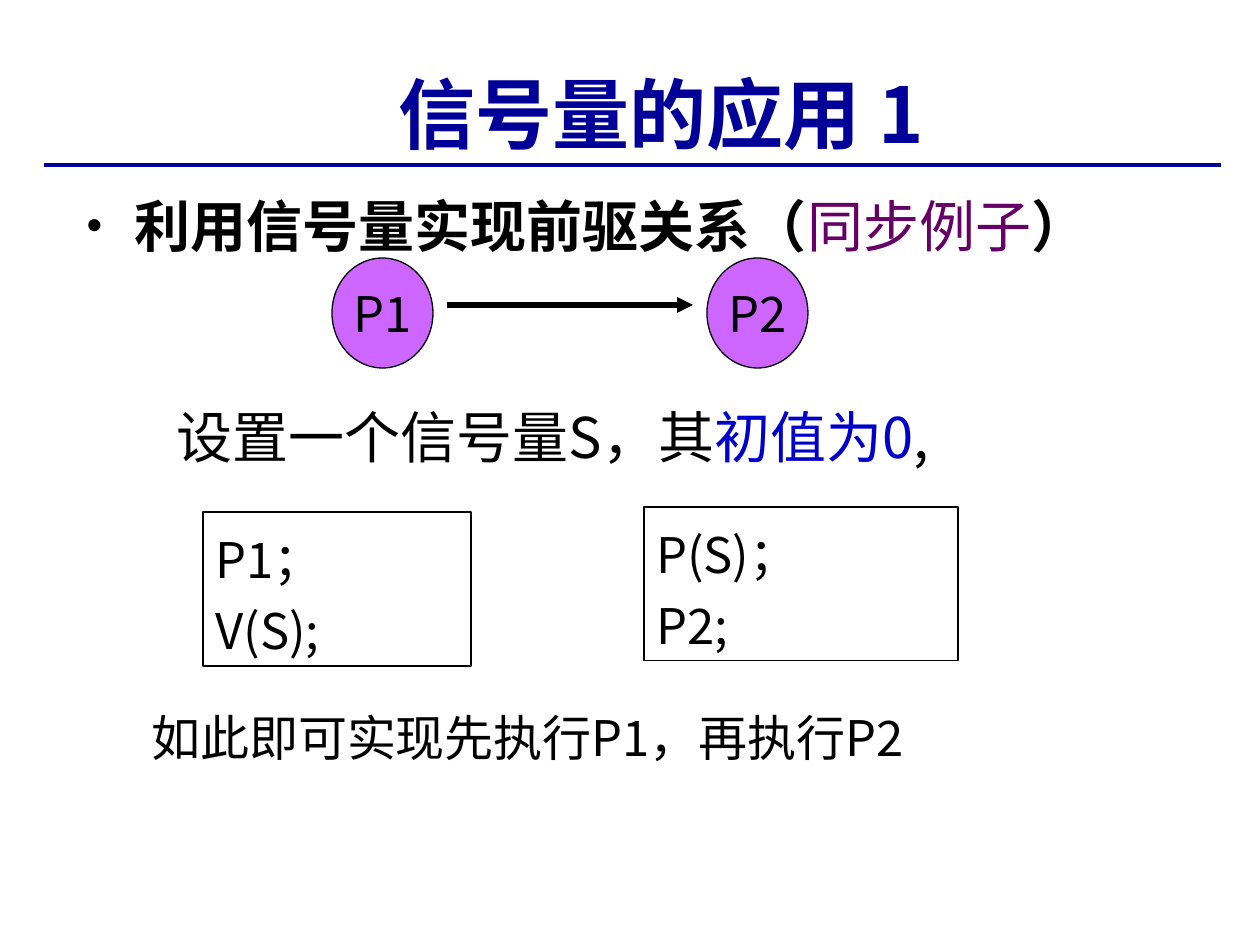
from lxml.etree import SubElement
from pptx import Presentation
from pptx.dml.color import RGBColor
from pptx.enum.shapes import MSO_CONNECTOR as Connector, MSO_SHAPE as Shape
from pptx.enum.text import MSO_ANCHOR as Anchor, MSO_AUTO_SIZE as AutoSize, PP_ALIGN as Align
from pptx.oxml.ns import qn
from pptx.util import Emu, Pt

SCALE = 914400 / 126  # EMU in one px
SANS, SERIF = "Noto Sans CJK SC", "Times New Roman"
COLORS = {
    "navy": "000099", "black": "000000", "purple": "660066",
    "violet": "CC66FF", "blue": "0000CC",
}


def px(value):
    return Emu(round(value * SCALE))


def color(name):
    return RGBColor.from_string(COLORS[name])


def add_span(para, text, size, tint="black", face=SANS, bold=False):
    span = para.add_run()
    span.text = text
    formats = {"size": Pt(size), "name": face, "bold": bold}
    for name, value in formats.items():
        setattr(span.font, name, value)
    span.font.color.rgb = color(tint)
    SubElement(span.font._element, qn("a:ea"), typeface=SANS)


def set_frame(frame, anchor=Anchor.TOP, wrap=True):
    formats = {"word_wrap": wrap, "auto_size": AutoSize.NONE, "vertical_anchor": anchor}
    for name, value in formats.items():
        setattr(frame, name, value)


def place(shape, box):
    for name, value in zip(("left", "top", "width", "height"), box):
        setattr(shape, name, px(value))


def add_line(page, start, end, tint, width, arrow=False):
    line = page.shapes.add_connector(
        Connector.STRAIGHT, *(px(value) for value in (*start, *end)))
    line.line.color.rgb = color(tint)
    line.line.width = Pt(width)
    if arrow:
        SubElement(line.line._get_or_add_ln(), qn("a:tailEnd"), type="triangle")
    SubElement(line._element.spPr, qn("a:effectLst"))


def add_outlined(page, kind, box, fill=None):
    shape = page.shapes.add_shape(kind, *(px(value) for value in box))
    shape.shadow.inherit = False
    if fill:
        shape.fill.solid()
        shape.fill.fore_color.rgb = color(fill)
    else:
        shape.fill.background()
    shape.line.color.rgb = color("black")
    shape.line.width = Pt(0.75)
    return shape


def write_lines(frame, lines, size):
    """Each line is a list of (text, colour) spans."""
    set_frame(frame)
    for index, spans in enumerate(lines):
        para = frame.add_paragraph() if index else frame.paragraphs[0]
        para.alignment = Align.LEFT
        para.line_spacing = 1.2
        for text, tint in spans:
            add_span(para, text, size, tint)


def add_title(page, box):
    title = page.shapes.title
    place(title, box)
    set_frame(title.text_frame, Anchor.BOTTOM)
    para = title.text_frame.paragraphs[0]
    para.alignment = Align.CENTER
    add_span(para, "信号量的应用 1", 44, "navy", bold=True)
    add_line(page, (44, 165), (1221, 165), "navy", 2.5)


def add_body(page, box):
    body = page.placeholders[1]
    place(body, box)
    set_frame(body.text_frame)
    para = body.text_frame.paragraphs[0]
    para.space_before = Pt(0)
    # Hanging bullet
    props = para._p.get_or_add_pPr()
    props.set("marL", str(px(48)))
    props.set("indent", str(px(-48)))
    SubElement(SubElement(props, qn("a:buClr")), qn("a:srgbClr"), val=COLORS["black"])
    SubElement(props, qn("a:buSzPct"), val="80000")
    SubElement(props, qn("a:buChar"), char="•")
    add_span(para, "利用信号量实现前驱关系（", 32, face=SERIF, bold=True)
    add_span(para, "同步例子", 32, "purple", SERIF)
    add_span(para, "）", 32, face=SERIF, bold=True)


def add_precedence(page, box):
    """Two processes at the ends of the box, joined by an arrow."""
    left, top, width, height = box
    node, gap = 101, 14
    for name, x in (("P1", left), ("P2", left + width - node)):
        circle = add_outlined(page, Shape.OVAL, (x, top, node, height), "violet")
        set_frame(circle.text_frame, Anchor.MIDDLE, wrap=False)
        para = circle.text_frame.paragraphs[0]
        para.alignment = Align.CENTER
        add_span(para, name, 28)
    y = top + 47
    add_line(page, (left + node + gap, y), (left + width - node - gap, y),
             "black", 3, arrow=True)


def add_code_box(page, box, lines):
    frame = add_outlined(page, Shape.RECTANGLE, box).text_frame
    write_lines(frame, [[(line, "black")] for line in lines], 28)


def add_note(page, box, spans, size):
    note = page.shapes.add_textbox(*(px(value) for value in box))
    write_lines(note.text_frame, [spans], size)


def main():
    deck = Presentation()
    deck.slide_width, deck.slide_height = px(1260), px(945)
    page = deck.slides.add_slide(deck.slide_layouts[1])
    add_title(page, (84, 0, 1154, 165))
    add_body(page, (74, 185, 1159, 625))
    add_precedence(page, (332, 258, 476, 110))
    add_note(page, (164, 383, 873, 93),
             [("设置一个信号量S，其", "black"), ("初值为0", "blue"), (",", "black")], 32)
    add_code_box(page, (203, 512, 268, 154), ["P1；", "V(S);"])
    add_code_box(page, (644, 507, 314, 154), ["P(S)；", "P2;"])
    add_note(page, (139, 690, 780, 83), [("如此即可实现先执行P1，再执行P2", "black")], 28)
    deck.save("out.pptx")


if __name__ == "__main__":
    main()
